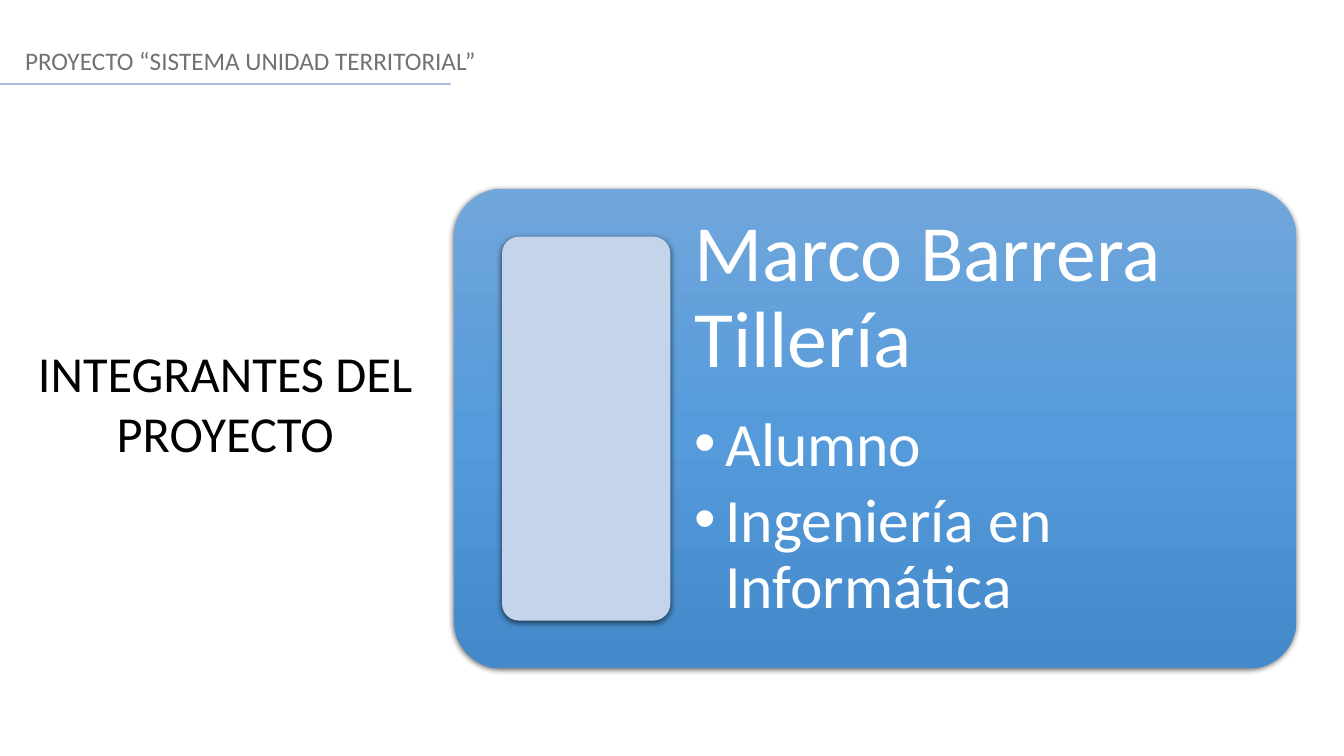
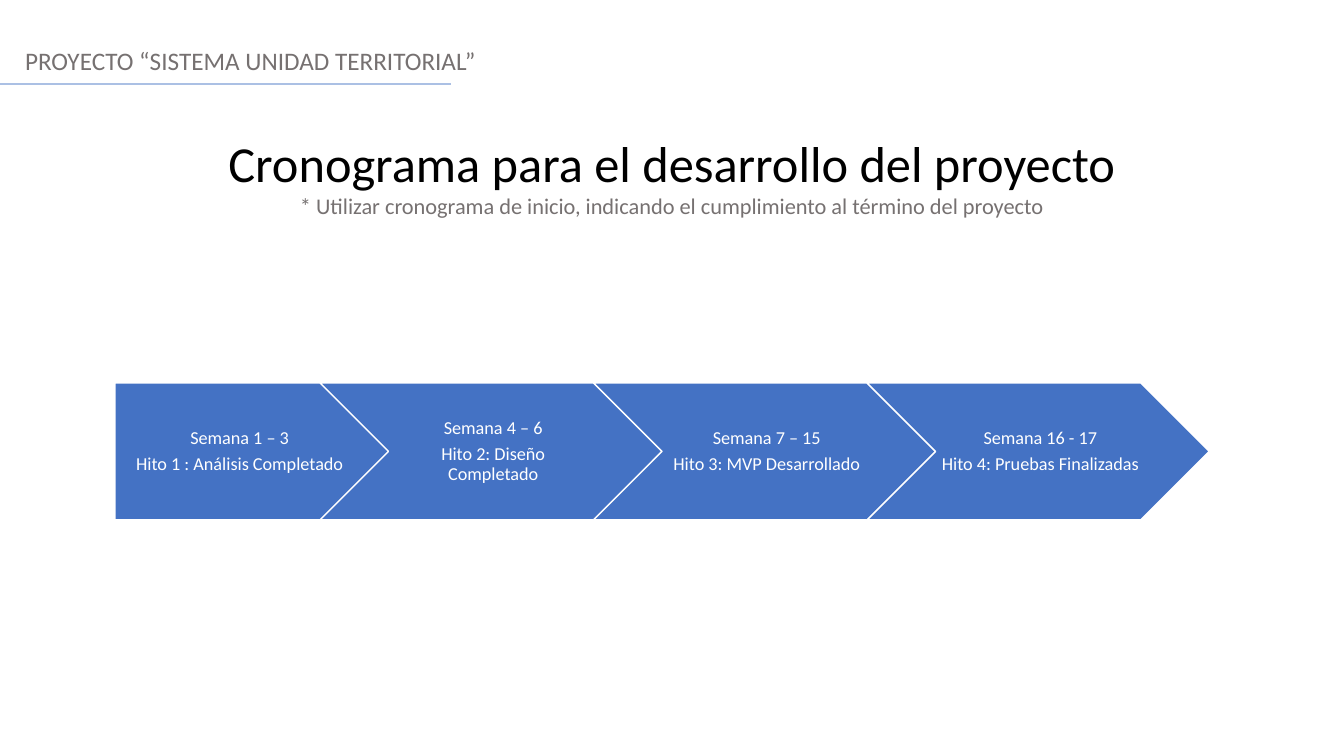
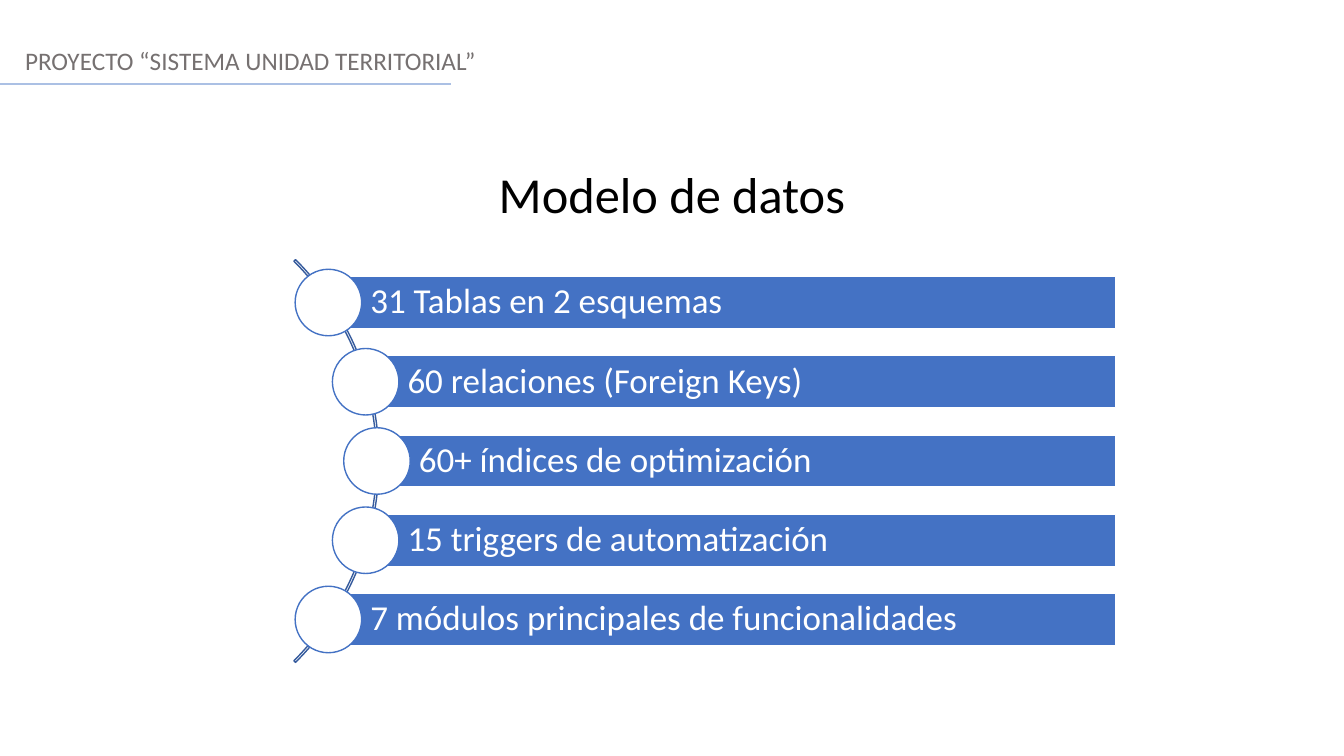
from dataclasses import dataclass
from math import sqrt

from lxml.etree import SubElement
from pptx import Presentation
from pptx.dml.color import RGBColor
from pptx.enum.shapes import MSO_CONNECTOR, MSO_SHAPE
from pptx.enum.text import MSO_ANCHOR, MSO_AUTO_SIZE, PP_ALIGN
from pptx.oxml import parse_xml
from pptx.oxml.ns import nsdecls, qn
from pptx.util import Pt

FONT = "Calibri"
BLACK, WHITE, GRAY = "000000", "FFFFFF", "767171"
BLUE, NAVY, PALE, RULE = "4472C4", "365B9D", "C4D5EB", "ABC0E4"
WIDE, HIGH = 960, 540
PROJECT = "PROYECTO “SISTEMA UNIDAD TERRITORIAL”"


@dataclass(frozen=True)
class Box:
    left: float
    top: float
    width: float
    height: float

    def points(self) -> tuple:
        return Pt(self.left), Pt(self.top), Pt(self.width), Pt(self.height)


@dataclass(frozen=True)
class Step:
    weeks: str
    goal: str


STEPS = (
    Step("Semana 1 – 3", "Hito 1 : Análisis Completado"),
    Step("Semana 4 – 6", "Hito 2: Diseño Completado"),
    Step("Semana 7 – 15", "Hito 3: MVP Desarrollado"),
    Step("Semana 16 - 17", "Hito 4: Pruebas Finalizadas"),
)
FACTS = (
    "31 Tablas en 2 esquemas",
    "60 relaciones (Foreign Keys)",
    "60+ índices de optimización",
    "15 triggers de automatización",
    "7 módulos principales de funcionalidades",
)


def paint(target, color: str) -> None:
    """Colour a font, or give a fill one solid colour."""
    if hasattr(target, "solid"):
        target.solid()
        target.fore_color.rgb = RGBColor.from_string(color)
    else:
        target.color.rgb = RGBColor.from_string(color)


def write(frame, text: str, *, size: float, color: str = WHITE,
          align=PP_ALIGN.LEFT, line: float = 1, after: float = 0,
          level: int = 0, bullet: str = "", indent: float = 0) -> None:
    """Add a paragraph, using the first one while it is empty."""
    para = frame.paragraphs[0]
    if para.runs:
        para = frame.add_paragraph()
    para.alignment, para.level = align, level
    para.line_spacing = line
    para.space_before, para.space_after = Pt(0), Pt(after)
    props = para._p.get_or_add_pPr()
    props.set("marL", str(Pt(indent)))
    props.set("indent", str(-Pt(indent)))
    if bullet:
        SubElement(props, qn("a:buChar")).set("char", bullet)
    else:
        SubElement(props, qn("a:buNone"))
    run = para.add_run()
    run.text = text
    run.font.name, run.font.size = FONT, Pt(size)
    paint(run.font, color)


def setup(frame, insets: tuple = (7.2, 3.6, 7.2, 3.6),
          anchor=MSO_ANCHOR.TOP) -> None:
    frame.word_wrap = True
    frame.auto_size = MSO_AUTO_SIZE.NONE
    frame.vertical_anchor = anchor
    (frame.margin_left, frame.margin_top,
     frame.margin_right, frame.margin_bottom) = map(Pt, insets)


def place(shape, box: Box) -> None:
    shape.left, shape.top, shape.width, shape.height = box.points()


def draw(slide, kind, box: Box, fill: str = "", edge: str = ""):
    shape = slide.shapes.add_shape(kind, *box.points())
    shape.shadow.inherit = False
    if fill:
        paint(shape.fill, fill)
    else:
        shape.fill.background()
    if edge:
        paint(shape.line.fill, edge)
        shape.line.width = Pt(1)
    else:
        shape.line.fill.background()
    return shape


def shade(shape) -> None:
    """Put a soft shadow under the shape."""
    effects = shape.element.spPr.find(qn("a:effectLst"))
    effects.append(parse_xml(
        f'<a:outerShdw {nsdecls("a")} blurRad="{Pt(4.5)}" dist="{Pt(1.5)}" '
        'dir="5400000" algn="ctr" rotWithShape="0"><a:srgbClr val="000000">'
        '<a:alpha val="63000"/></a:srgbClr></a:outerShdw>'))


def blend(shape, *colors: str) -> None:
    """Fill from top to bottom with evenly spaced colours."""
    shape.fill.gradient()
    gap = 100000 // (len(colors) - 1)
    stops = "".join(
        f'<a:gs pos="{i * gap}"><a:srgbClr val="{color}"/></a:gs>'
        for i, color in enumerate(colors))
    props = shape.element.spPr
    props.replace(props.find(qn("a:gradFill")), parse_xml(
        f'<a:gradFill {nsdecls("a")} rotWithShape="1"><a:gsLst>{stops}'
        '</a:gsLst><a:lin ang="5400000" scaled="0"/></a:gradFill>'))


def start(deck, title: str, box: Box, layout: int = 5):
    """Add a slide with its title, project name and rule."""
    slide = deck.slides.add_slide(deck.slide_layouts[layout])
    head = slide.shapes.title
    place(head, box)
    setup(head.text_frame)
    write(head.text_frame, title, size=36, color=BLACK, align=PP_ALIGN.CENTER)
    name = slide.shapes.add_textbox(*Box(10.8, 29, 600, 29).points())
    setup(name.text_frame)
    write(name.text_frame, PROJECT, size=18, color=GRAY)
    rule = slide.shapes.add_connector(
        MSO_CONNECTOR.STRAIGHT, Pt(0), Pt(59.8), Pt(322), Pt(59.8))
    paint(rule.line.fill, RULE)
    rule.line.width = Pt(1.25)
    SubElement(rule.element.spPr, qn("a:effectLst"))
    return slide


def team(deck) -> None:
    slide = start(deck, "INTEGRANTES DEL PROYECTO",
                  Box(18.7, 240.5, 284.4, 94.3), layout=1)
    card = draw(slide, MSO_SHAPE.ROUNDED_RECTANGLE,
                Box(324.5, 134.8, 601.4, 342.7))
    blend(card, "71A6DB", "559BDB", "448ACA")
    photo = draw(slide, MSO_SHAPE.ROUNDED_RECTANGLE,
                 Box(358.6, 169.1, 120.2, 274.2), PALE)
    for shape in (card, photo):
        shape.adjustments[0] = 0.1
        shade(shape)
    body = slide.placeholders[1]
    slide.shapes.element.append(body.element)
    place(body, Box(478.8, 134.8, 446.6, 342.7))
    frame = body.text_frame
    setup(frame, (17.1,) * 4)
    write(frame, "Marco Barrera Tillería", size=57, line=0.9, after=20)
    for item in ("Alumno", "Ingeniería en Informática"):
        write(frame, item, size=44, line=0.9, after=6.6,
              level=1, bullet="•", indent=22.3)


def plan(deck) -> None:
    slide = start(deck, "Cronograma para el desarrollo del proyecto",
                  Box(0, 90.7, WIDE, 70.6))
    write(slide.shapes.title.text_frame,
          "* Utilizar cronograma de inicio, indicando el cumplimiento "
          "al término del proyecto", size=16, color=GRAY,
          align=PP_ALIGN.CENTER)
    left, top, high, pitch = 82.1, 273.6, 97.7, 195.4
    half = high / 2
    for i, step in enumerate(STEPS):
        if i:
            kind, inset = MSO_SHAPE.CHEVRON, 4.3
            box = Box(left + i * pitch - half, top, pitch + high - half + half / 2 - half / 2, high)
            box = Box(box.left, top, pitch + half, high)
        else:
            kind, inset = MSO_SHAPE.PENTAGON, 5.8
            box = Box(left, top, pitch + 2.6, high)
        arrow = draw(slide, kind, box, BLUE, WHITE)
        setup(arrow.text_frame, (inset, 2.9, 1.4, 2.9), MSO_ANCHOR.MIDDLE)
        for text in (step.weeks, step.goal):
            write(arrow.text_frame, text, size=13, line=0.9, after=4.5,
                  align=PP_ALIGN.CENTER)


def model(deck) -> None:
    slide = start(deck, "Modelo de datos", Box(0, 113, WIDE, 51))
    midx, midy, radius = 67.3, 329.3, 203.4
    arc = draw(slide, MSO_SHAPE.BLOCK_ARC,
               Box(midx - radius, midy - radius, 2 * radius, 2 * radius),
               edge=NAVY)
    for i, value in enumerate((189, 27, 0.004)):
        arc.adjustments[i] = value
    track, pitch, high, dot, right = 202, 56.6, 37.2, 47.5, 796.8
    for i, fact in enumerate(FACTS):
        drop = (i - (len(FACTS) - 1) / 2) * pitch
        left, mid = midx + sqrt(track ** 2 - drop ** 2), midy + drop
        bar = draw(slide, MSO_SHAPE.RECTANGLE,
                   Box(left, mid - high / 2, right - left, high), BLUE, WHITE)
        setup(bar.text_frame, (29.9, 5, 5, 5), MSO_ANCHOR.MIDDLE)
        write(bar.text_frame, fact, size=25, line=0.9)
        draw(slide, MSO_SHAPE.OVAL,
             Box(left - dot / 2, mid - dot / 2, dot, dot), WHITE, BLUE)


def main() -> None:
    deck = Presentation()
    deck.slide_width, deck.slide_height = Pt(WIDE), Pt(HIGH)
    for build in (team, plan, model):
        build(deck)
    deck.save("out.pptx")


if __name__ == "__main__":
    main()
